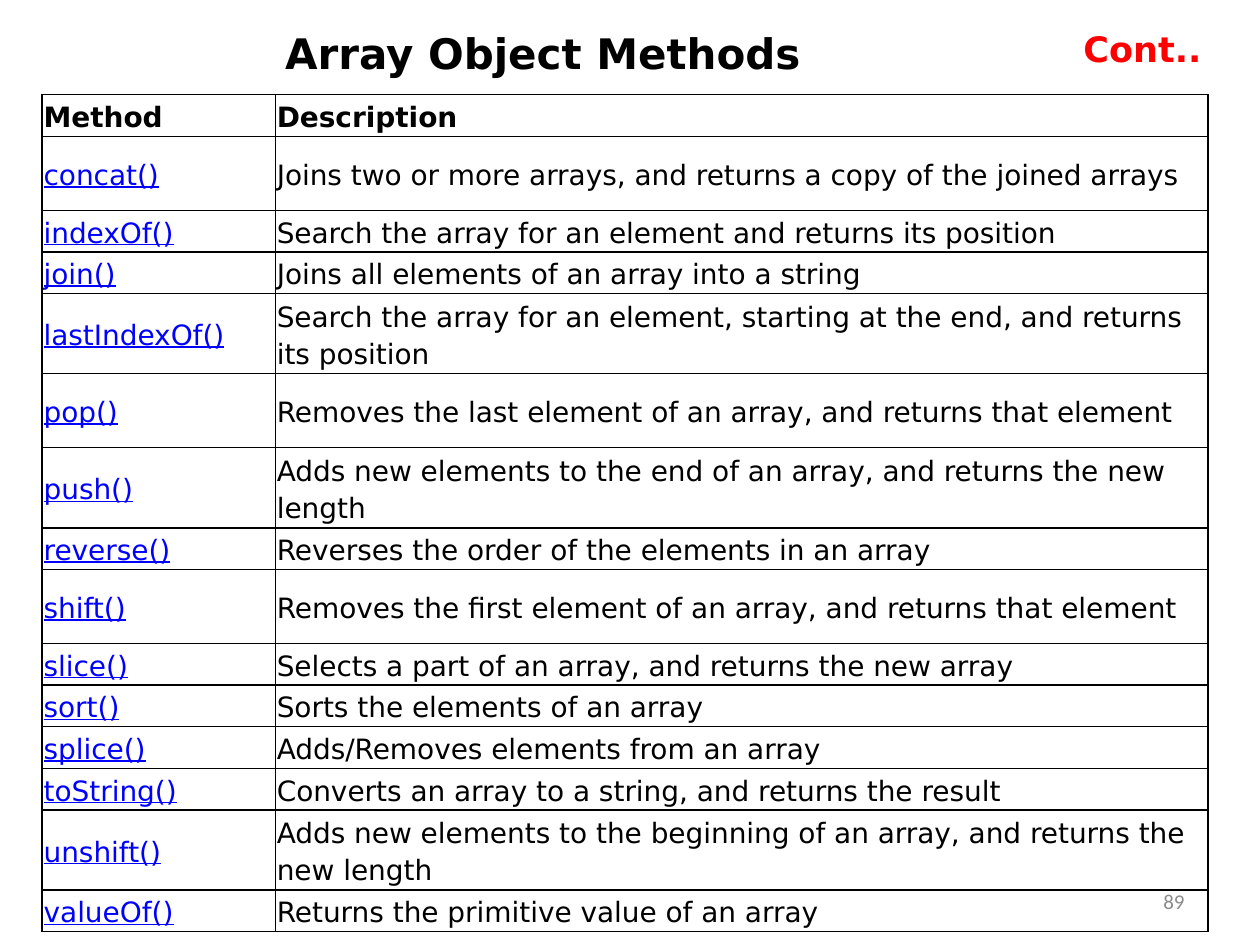
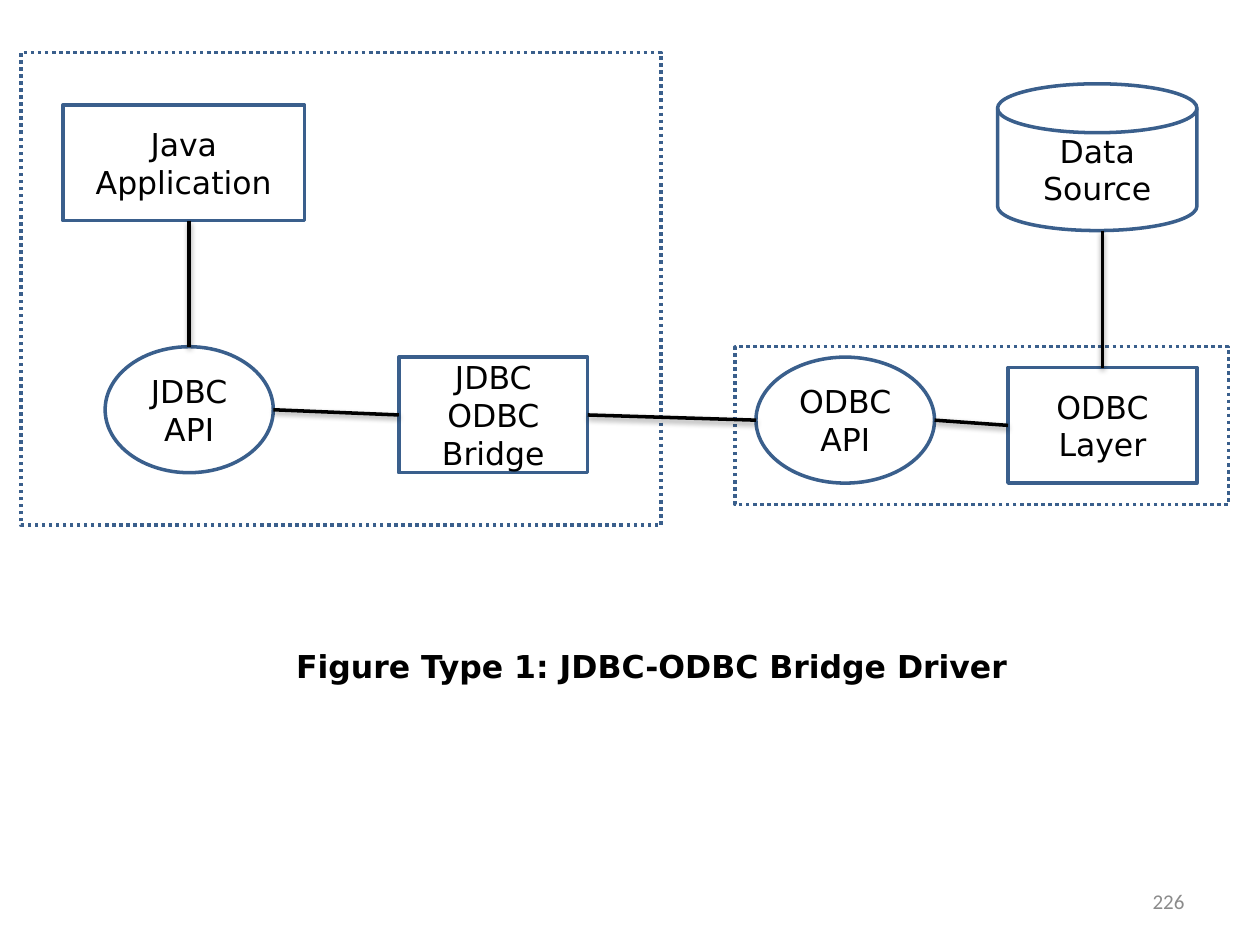
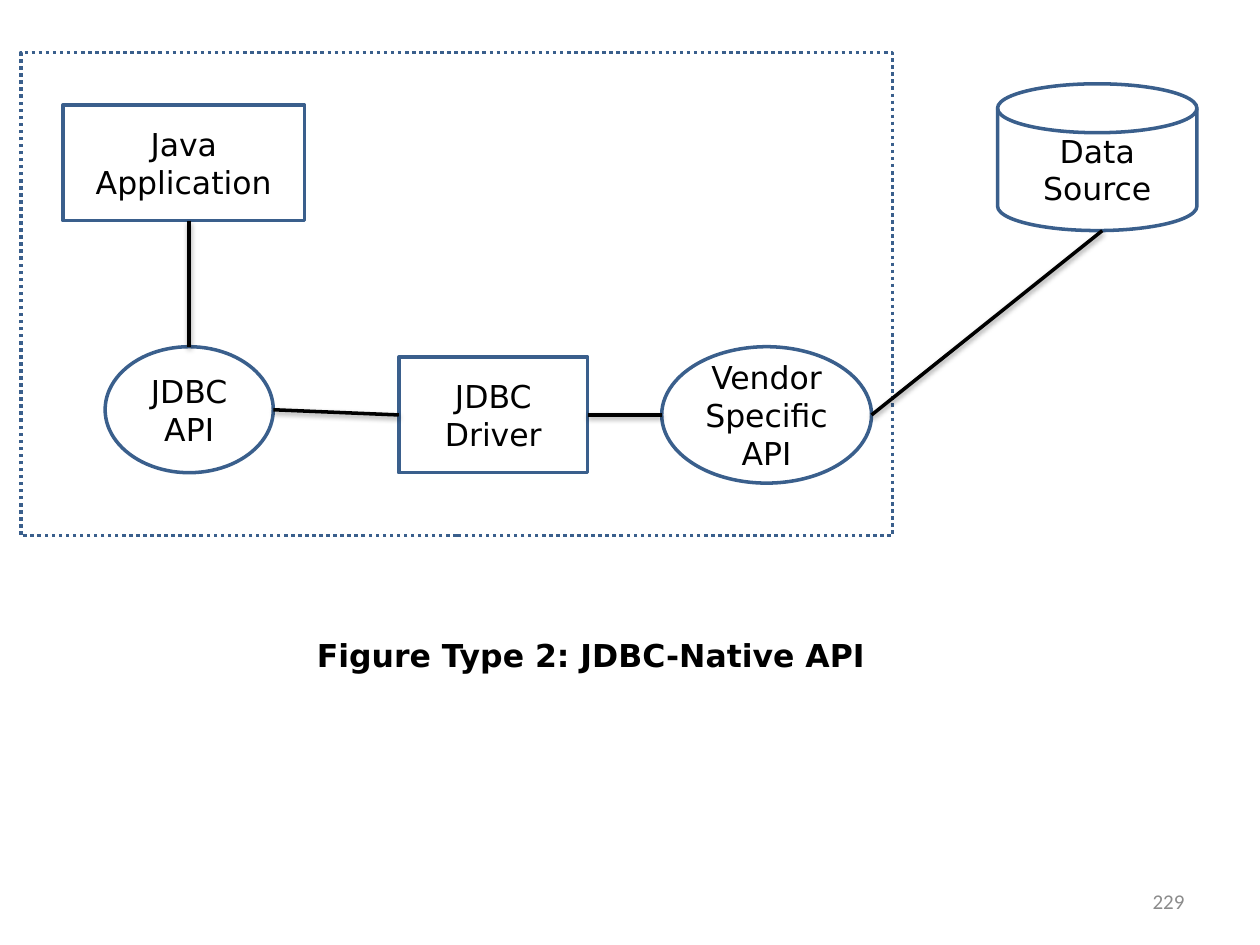
"""Build three slides: a table of array methods and two driver diagrams."""
from lxml.etree import SubElement
from pptx import Presentation
from pptx.dml.color import RGBColor
from pptx.enum.dml import MSO_LINE
from pptx.enum.shapes import MSO_CONNECTOR, MSO_SHAPE as SHAPE
from pptx.enum.text import MSO_ANCHOR as ANCHOR, MSO_AUTO_SIZE as AUTO_SIZE, PP_ALIGN as ALIGN
from pptx.oxml.ns import qn
from pptx.util import Cm, Pt

BLACK = RGBColor(0x00, 0x00, 0x00)
WHITE = RGBColor(0xFF, 0xFF, 0xFF)
RED = RGBColor(0xFF, 0x00, 0x00)
LINK_BLUE = RGBColor(0x00, 0x00, 0xFF)
OUTLINE_BLUE = RGBColor(0x3A, 0x5F, 0x8C)
GREY = RGBColor(0x8B, 0x8B, 0x8B)
BODY_FONT = "DejaVu Sans"
NUMBER_FONT = "Calibri"

SHORT, MEDIUM, TALL = 0.83, 1.49, 1.61
METHODS = [
    ("concat()", "Joins two or more arrays, and returns a copy of the joined arrays", MEDIUM),
    ("indexOf()", "Search the array for an element and returns its position", SHORT),
    ("join()", "Joins all elements of an array into a string", SHORT),
    ("lastIndexOf()", "Search the array for an element, starting at the end, and returns its position", TALL),
    ("pop()", "Removes the last element of an array, and returns that element", MEDIUM),
    ("push()", "Adds new elements to the end of an array, and returns the new length", TALL),
    ("reverse()", "Reverses the order of the elements in an array", SHORT),
    ("shift()", "Removes the first element of an array, and returns that element", MEDIUM),
    ("slice()", "Selects a part of an array, and returns the new array", SHORT),
    ("sort()", "Sorts the elements of an array", SHORT),
    ("splice()", "Adds/Removes elements from an array", SHORT),
    ("toString()", "Converts an array to a string, and returns the result", SHORT),
    ("unshift()", "Adds new elements to the beginning of an array, and returns the new length", TALL),
    ("valueOf()", "Returns the primitive value of an array", SHORT),
]


def write(frame, text, *, size=18, color=BLACK, bold=False, underline=False,
          font=BODY_FONT, align=ALIGN.LEFT, spacing=None):
    """Put one formatted paragraph into a text frame."""
    para = frame.paragraphs[0]
    para.alignment = align
    if spacing:
        para.line_spacing = spacing
    span = para.add_run()
    span.text = text
    span.font.name = font
    span.font.size = Pt(size)
    span.font.bold = bold
    span.font.underline = underline
    span.font.color.rgb = color


def add_label(page, text, left, top, width, height, *, wrap=False,
              anchor=ANCHOR.TOP, auto_size=AUTO_SIZE.SHAPE_TO_FIT_TEXT, **style):
    """Add a text box."""
    box = page.shapes.add_textbox(Cm(left), Cm(top), Cm(width), Cm(height))
    frame = box.text_frame
    frame.word_wrap = wrap
    frame.auto_size = auto_size
    frame.vertical_anchor = anchor
    write(frame, text, **style)


def add_page_number(page, number):
    """Add the page number at the lower right."""
    add_label(page, str(number), 18.2, 17.66, 5.93, 1.01, wrap=True, anchor=ANCHOR.MIDDLE,
              auto_size=AUTO_SIZE.NONE, size=12, color=GREY, font=NUMBER_FONT, align=ALIGN.RIGHT)


def add_node(page, kind, left, top, width, height, text=None):
    """Add an outlined shape; it is a dotted enclosure when it has no text."""
    node = page.shapes.add_shape(kind, Cm(left), Cm(top), Cm(width), Cm(height))
    node.shadow.inherit = False
    node.fill.solid()
    node.fill.fore_color.rgb = WHITE
    node.line.color.rgb = OUTLINE_BLUE
    node.line.width = Pt(2)
    if text:
        node.text_frame.word_wrap = True
        node.text_frame.vertical_anchor = ANCHOR.MIDDLE
        write(node.text_frame, text, align=ALIGN.CENTER)
    else:
        node.line.dash_style = MSO_LINE.ROUND_DOT
    return node


def add_link(page, start, end):
    """Draw a black line between two points, with the theme's soft shadow."""
    link = page.shapes.add_connector(MSO_CONNECTOR.STRAIGHT, *start, *end)
    link.line.color.rgb = BLACK
    link.line.width = Pt(2)


def middle(node):
    """Return the vertical middle of a shape."""
    return node.top + node.height // 2


def center(node):
    """Return the horizontal center of a shape."""
    return node.left + node.width // 2


def bottom(node):
    """Return the lower edge of a shape."""
    return node.top + node.height


def right_end(node):
    """Return the middle point of a shape's right edge."""
    return node.left + node.width, middle(node)


def link_row(page, *nodes):
    """Link neighbouring shapes from right edge to left edge."""
    for first, second in zip(nodes, nodes[1:]):
        add_link(page, right_end(first), (second.left, middle(second)))


def link_down(page, upper, lower):
    """Link two shapes by a vertical line through the center of the lower one."""
    add_link(page, (center(lower), bottom(upper)), (center(lower), lower.top))


def add_borders(cell):
    """Give a cell thin black lines on all four sides."""
    properties = cell._tc.get_or_add_tcPr()
    for position, side in enumerate(("a:lnL", "a:lnR", "a:lnT", "a:lnB")):
        line = SubElement(properties, qn(side), w=str(Pt(1)))
        fill = SubElement(line, qn("a:solidFill"))
        SubElement(fill, qn("a:srgbClr"), val=str(BLACK))
        properties.insert(position, line)


def fill_cell(cell, text, **style):
    """Write a table cell with narrow margins and no fill."""
    cell.margin_left = cell.margin_right = cell.margin_top = cell.margin_bottom = Cm(0.03)
    cell.vertical_anchor = ANCHOR.MIDDLE
    cell.fill.background()
    add_borders(cell)
    write(cell.text_frame, text, size=16, spacing=1.15, **style)


def add_method_table(page):
    """Add the table of array methods."""
    rows = [("Method", "Description", SHORT)] + METHODS
    total = sum(height for _, _, height in rows)
    table = page.shapes.add_table(len(rows), 2, Cm(0.85), Cm(1.91), Cm(23.5), Cm(total)).table
    table.first_row = table.horz_banding = False
    for column, width in zip(table.columns, (4.7, 18.8)):
        column.width = Cm(width)
    for index, (method, description, height) in enumerate(rows):
        table.rows[index].height = Cm(height)
        header = index == 0
        fill_cell(table.cell(index, 0), method, bold=header, underline=not header,
                  color=BLACK if header else LINK_BLUE)
        fill_cell(table.cell(index, 1), description, bold=header)


def add_client(page, driver_text):
    """Add the parts both diagrams share and return interface, driver and source."""
    application = add_node(page, SHAPE.RECTANGLE, 1.27, 2.12, 4.87, 2.33, "Java Application")
    interface = add_node(page, SHAPE.OVAL, 2.12, 6.99, 3.39, 2.54, "JDBC API")
    driver = add_node(page, SHAPE.RECTANGLE, 8.04, 7.2, 3.81, 2.33, driver_text)
    source = add_node(page, SHAPE.FLOWCHART_MAGNETIC_DISK, 20.11, 1.69, 4.02, 2.96, "Data Source")
    link_down(page, application, interface)
    return interface, driver, source


def build_methods(page):
    """Build the slide with the method table."""
    add_page_number(page, 89)
    add_label(page, "Array Object Methods", 5.5, 0.42, 10.92, 1.28, size=24, bold=True)
    add_method_table(page)
    add_label(page, "Cont..", 21.59, 0.42, 3.18, 1.11, wrap=True, size=20, bold=True, color=RED)


def build_bridge(page):
    """Build the bridge driver diagram."""
    add_node(page, SHAPE.RECTANGLE, 14.82, 6.99, 9.95, 3.18)
    add_node(page, SHAPE.RECTANGLE, 0.42, 1.06, 12.91, 9.53)
    add_page_number(page, 226)
    interface, bridge, source = add_client(page, "JDBC ODBC Bridge")
    odbc = add_node(page, SHAPE.OVAL, 15.24, 7.2, 3.6, 2.54, "ODBC API")
    layer = add_node(page, SHAPE.RECTANGLE, 20.32, 7.41, 3.81, 2.33, "ODBC Layer")
    link_row(page, interface, bridge, odbc, layer)
    link_down(page, source, layer)
    add_label(page, "Figure Type 1: JDBC-ODBC Bridge Driver", 5.72, 12.91, 15.34, 1.03, bold=True)


def build_native(page):
    """Build the native driver diagram."""
    add_node(page, SHAPE.RECTANGLE, 0.42, 1.06, 17.57, 9.74)
    add_page_number(page, 229)
    interface, driver, source = add_client(page, "JDBC Driver")
    vendor = add_node(page, SHAPE.OVAL, 13.34, 6.99, 4.23, 2.75, "Vendor Specific API")
    link_row(page, interface, driver, vendor)
    add_link(page, right_end(vendor), (Cm(22.22), bottom(source)))
    add_label(page, "Figure Type 2: JDBC-Native API", 6.14, 12.7, 12.14, 1.03, bold=True)


def main():
    """Build and save the deck."""
    deck = Presentation()
    deck.slide_width, deck.slide_height = Cm(25.4), Cm(19.05)
    for build in (build_methods, build_bridge, build_native):
        build(deck.slides.add_slide(deck.slide_layouts[6]))
    deck.save("out.pptx")


if __name__ == "__main__":
    main()
